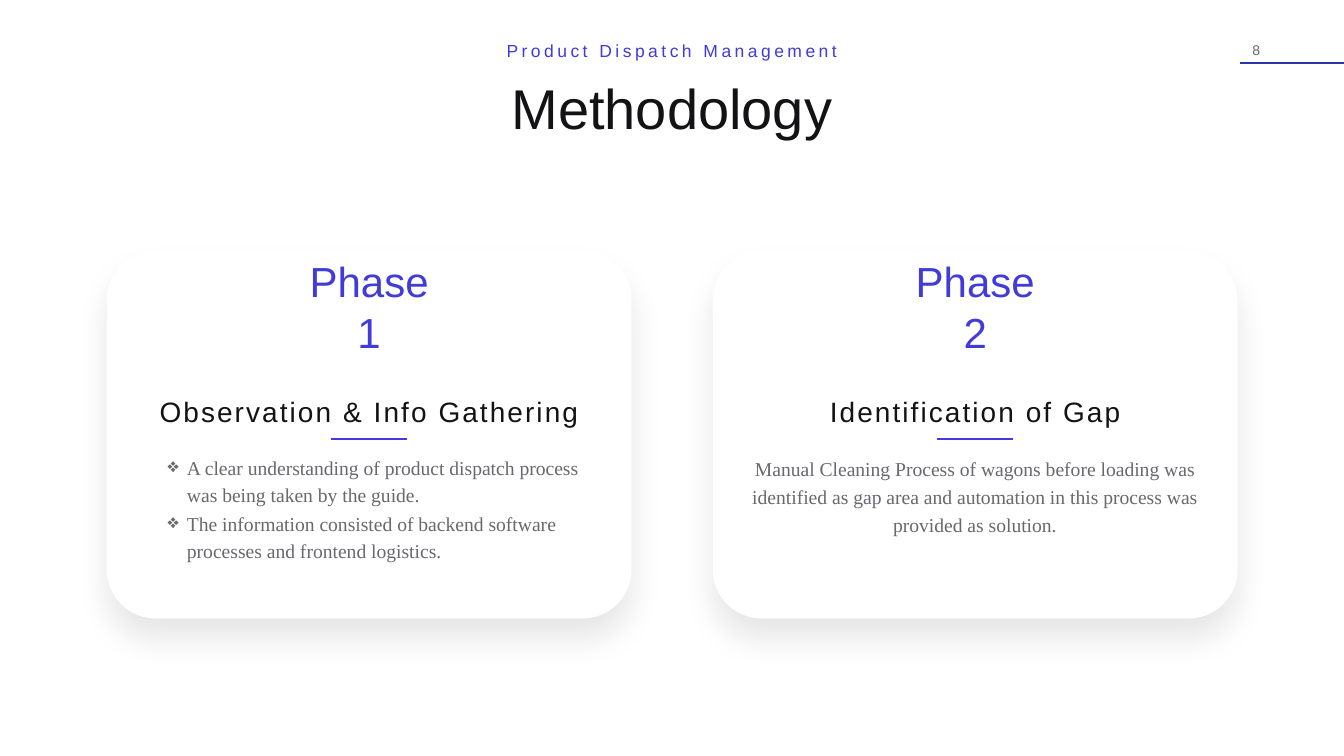
from lxml.etree import SubElement
from pptx import Presentation
from pptx.dml.color import RGBColor
from pptx.enum.shapes import MSO_CONNECTOR, MSO_SHAPE
from pptx.enum.text import MSO_ANCHOR, PP_ALIGN
from pptx.oxml.ns import qn
from pptx.util import Cm, Pt

WHITE = RGBColor(0xFF, 0xFF, 0xFF)
INK = RGBColor(0x13, 0x13, 0x16)
GREY = RGBColor(0x68, 0x68, 0x6E)
VIOLET = RGBColor(0x40, 0x3B, 0xD9)
NAVY = RGBColor(0x2C, 0x34, 0xAC)

SLIDE_WIDTH, SLIDE_HEIGHT = 67.72, 38.1
CARD_LEFT, CARD_TOP, CARD_PITCH = 5.38, 12.65, 30.54
CARD_WIDTH, CARD_HEIGHT = 26.44, 18.52
RULE_WIDTH, RULE_TOP, BODY_TOP = 3.81, 22.12, 22.68

STYLES = {
    "number": {"size": Pt(20), "name": "Arial", "color": GREY},
    "kicker": {"size": Pt(25), "name": "Arial", "color": VIOLET, "spacing": 5},
    "title": {"size": Pt(80), "name": "Arial", "color": INK},
    "phase": {"size": Pt(60), "name": "Arial", "color": VIOLET},
    "heading": {"size": Pt(40), "name": "Arial", "color": INK, "spacing": 3},
    "body": {"size": Pt(28), "name": "Times New Roman", "color": GREY},
}

CARDS = [
    {
        "phase": "Phase 1",
        "heading": "Observation & Info Gathering",
        "heading_width": 21.97,
        "body": [
            "A clear understanding of product dispatch process was being taken by the guide.",
            "The information consisted of backend software processes and frontend logistics.",
        ],
        "body_box": (2.82, 21.74, 5.72),
        "format": {"alignment": PP_ALIGN.LEFT, "line_spacing": 1.15},
        "bullet": "❖",
    },
    {
        "phase": "Phase 2",
        "heading": "Identification of Gap",
        "heading_width": 15.75,
        "body": [
            "Manual Cleaning Process of wagons before loading was identified as gap area "
            "and automation in this process was provided as solution.",
        ],
        "body_box": (1.73, 22.94, 4.42),
        "format": {"alignment": PP_ALIGN.CENTER, "line_spacing": Pt(40)},
        "bullet": None,
    },
]


class SlideBuilder:
    """Draws styled elements on the current slide."""

    def __init__(self, slide, styles):
        self.slide = slide
        self.styles = styles

    def text(self, box, paragraphs, style, layout=None, anchor=MSO_ANCHOR.TOP,
             wrap=False, inset=None, bullet=None):
        shape = self.slide.shapes.add_textbox(*map(Cm, box))
        frame = shape.text_frame
        frame.word_wrap = wrap
        frame.vertical_anchor = anchor
        if inset is not None:
            for side in ("left", "top", "right", "bottom"):
                setattr(frame, f"margin_{side}", Cm(inset))
        for index, words in enumerate(paragraphs):
            paragraph = frame.add_paragraph() if index else frame.paragraphs[0]
            if bullet:
                self.bullet(paragraph, bullet)
            for name, value in (layout or {"alignment": PP_ALIGN.CENTER}).items():
                setattr(paragraph, name, value)
            if index:
                paragraph.space_before = Pt(2.4)
            self.run(paragraph, words, self.styles[style])

    def run(self, paragraph, words, style):
        run = paragraph.add_run()
        run.text = words
        for name in ("size", "name"):
            setattr(run.font, name, style[name])
        run.font.color.rgb = style["color"]
        if "spacing" in style:
            run.font._element.set("spc", str(style["spacing"] * 100))

    def bullet(self, paragraph, symbol):
        properties = paragraph._p.get_or_add_pPr()
        indent = Cm(0.97)
        properties.set("marL", str(indent))
        properties.set("indent", str(-indent))
        SubElement(properties, qn("a:buChar"), char=symbol)

    def rule(self, left, top, width, color):
        line = self.slide.shapes.add_connector(
            MSO_CONNECTOR.STRAIGHT, Cm(left), Cm(top), Cm(left + width), Cm(top))
        line.line.color.rgb = color
        line.line.width = Pt(2.5)
        SubElement(line._element.spPr, qn("a:effectLst"))

    def panel(self, box):
        shape = self.slide.shapes.add_shape(MSO_SHAPE.ROUNDED_RECTANGLE, *map(Cm, box))
        shape.adjustments[0] = 0.133
        shape.fill.solid()
        shape.fill.fore_color.rgb = WHITE
        shape.line.fill.background()
        shape.shadow.inherit = False
        effects = shape._element.spPr.find(qn("a:effectLst"))
        shadow = SubElement(effects, qn("a:outerShdw"), blurRad=str(Pt(45)),
                            dist=str(Pt(30)), dir="5400000", algn="t", rotWithShape="0")
        color = SubElement(shadow, qn("a:srgbClr"), val=str(INK))
        SubElement(color, qn("a:alpha"), val="10000")

    def card(self, left, content):
        center = left + CARD_WIDTH / 2
        self.panel((left, CARD_TOP, CARD_WIDTH, CARD_HEIGHT))
        self.text((center - 4.03, 15.27, 8.06, 2.82), [content["phase"]], "phase",
                  anchor=MSO_ANCHOR.BOTTOM, wrap=True)
        width = content["heading_width"]
        self.text((center - width / 2, 19.76, width, 1.96), [content["heading"]],
                  "heading", anchor=MSO_ANCHOR.BOTTOM)
        self.rule(center - RULE_WIDTH / 2, RULE_TOP, RULE_WIDTH, VIOLET)
        offset, width, height = content["body_box"]
        self.text((left + offset, BODY_TOP, width, height), content["body"], "body",
                  content["format"], wrap=True, bullet=content["bullet"])


def main():
    presentation = Presentation()
    presentation.slide_width = Cm(SLIDE_WIDTH)
    presentation.slide_height = Cm(SLIDE_HEIGHT)
    slide = presentation.slides.add_slide(presentation.slide_layouts[6])
    builder = SlideBuilder(slide, STYLES)

    builder.text((62.66, 2.11, 0.84, 0.86), ["8"], "number",
                 {"alignment": PP_ALIGN.RIGHT}, inset=0)
    builder.rule(62.48, 3.18, SLIDE_WIDTH - 62.48, NAVY)
    builder.text((25.22, 3.56, 17.27, 3.68), ["Methodology"], "title")
    builder.text((25.04, 1.88, 17.63, 1.32), ["Product Dispatch Management"], "kicker",
                 anchor=MSO_ANCHOR.BOTTOM)
    for index, content in enumerate(CARDS):
        builder.card(CARD_LEFT + index * CARD_PITCH, content)

    presentation.save("out.pptx")


if __name__ == "__main__":
    main()
